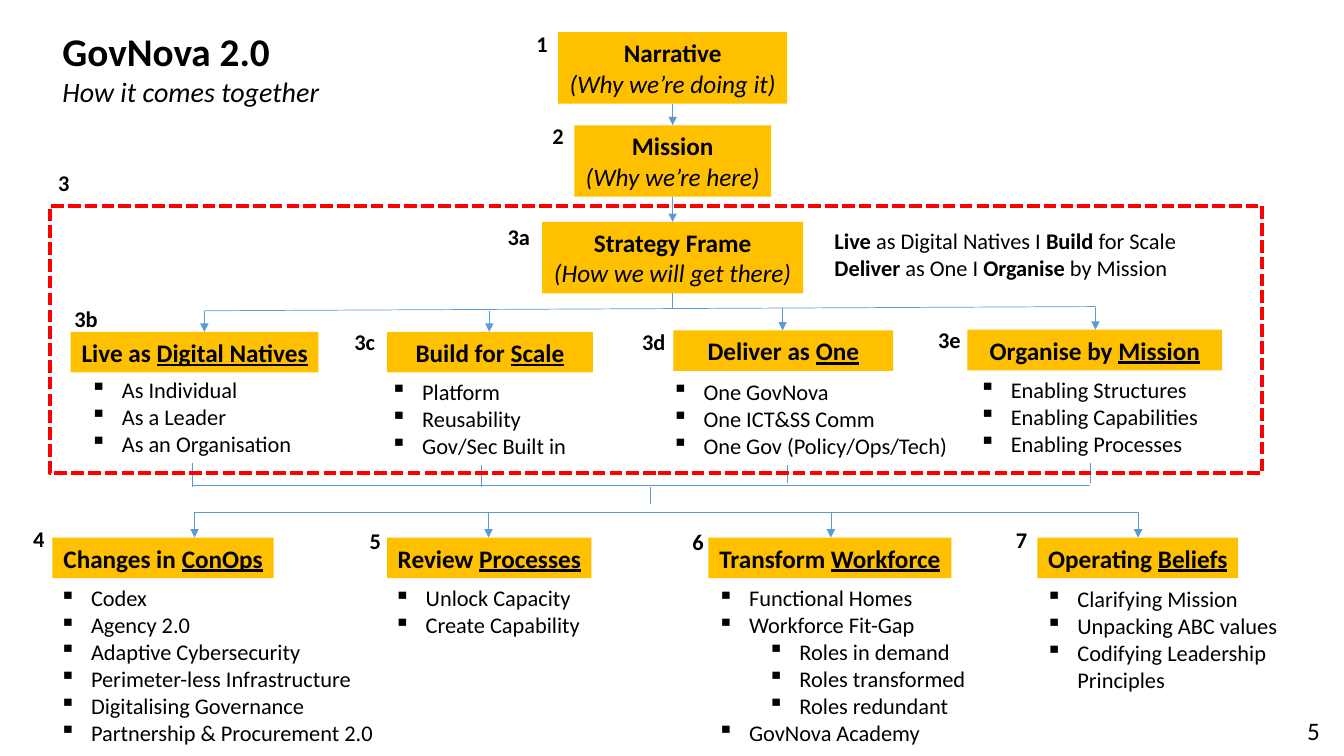
"""Build the strategy cascade slide, from narrative down to workstreams."""
from dataclasses import dataclass

from lxml import etree
from pptx import Presentation
from pptx import util as u
from pptx.dml.color import RGBColor
from pptx.enum import dml, shapes, text
from pptx.oxml.ns import qn


@dataclass(frozen=True)
class Theme:
    font: str = "Calibri"
    ink: str = "000000"
    gold: str = "FFC000"
    blue: str = "5B9BD5"
    red: str = "FF0000"
    title: int = 28
    subtitle: int = 20
    heading: int = 18
    body: int = 16
    hair: float = 0.5
    dash: float = 3
    indent: float = 22.5
    step: float = 36


THEME = Theme()
AXIS = 480.5
HEAD_HEIGHT = 29
STAGE_HEIGHT = 51
LINE_HEIGHT = 19.4

STAGES = [
    ("1", "Narrative", "(Why we’re doing it)", 23, 163.5, (376, 18)),
    ("2", "Mission", "(Why we’re here)", 89.5, 140.5, (387.5, 84)),
    ("3a", "Strategy Frame", "(How we will get there)", 158.5, 186.5, (355.5, 155.5)),
]
PILLARS = [
    ("3b", (46, 214.5), "Live as ", "Digital Natives", (50.5, 237, 177), (57.5, 265, 160),
     ["As Individual", "As a Leader", "As an Organisation"]),
    ("3c", (246, 231), "Build for ", "Scale", (276.5, 237, 147), (272, 266.5, 141),
     ["Platform", "Reusability", "Gov/Sec Built in"]),
    ("3d", (451.5, 230.5), "Deliver as ", "One", (481, 236, 157), (473, 266.5, 213),
     ["One GovNova", "One ICT&SS Comm", "One Gov (Policy/Ops/Tech)"]),
    ("3e", (663, 229.5), "Organise by ", "Mission", (691, 235.5, 182), (692.5, 265, 172),
     ["Enabling Structures", "Enabling Capabilities", "Enabling Processes"]),
]
WORKSTREAMS = [
    ("4", (16.5, 371.5), "Changes in ", "ConOps", (37.5, 384, 158), (35.5, 414, 241),
     ["Codex", "Agency 2.0", "Adaptive Cybersecurity", "Perimeter-less Infrastructure",
      "Digitalising Governance", "Partnership & Procurement 2.0"]),
    ("5", (257, 373), "Review ", "Processes", (276.5, 384, 146), (274.5, 414, 148.5),
     ["Unlock Capacity", "Create Capability"]),
    ("6", (487.5, 373.5), "Transform ", "Workforce", (506, 384, 173.5), (505.5, 414, 193.5),
     ["Functional Homes", "Workforce Fit-Gap",
      ["Roles in demand", "Roles transformed", "Roles redundant"], "GovNova Academy"]),
    ("7", (718.5, 372), "Operating ", "Beliefs", (741, 384, 143.5), (740, 414.5, 204.5),
     ["Clarifying Mission", "Unpacking ABC values", "Codifying Leadership Principles"]),
]
PILLAR_ARROWS = [(146, 222, 237), (349.5, 222, 237), (559, 220, 236), (782.5, 219.5, 235.5)]
STREAM_ARROWS = [(x, 366, 384) for x in (139, 349, 593.5, 813)]
STAGE_ARROWS = [(AXIS, 74, 89.5), (AXIS, 140.5, 158.5)]
STUBS = [(AXIS, 209, 220), (137.5, 330.5, 348), (343.5, 332, 348),
         (562.5, 332, 345), (778.5, 330.5, 345), (464.5, 348, 360)]
BARS = [(146, 222, 782.5, 219), (138, 346.5, 778.5, 346.5), (139, 366, 813, 366)]


def color(value):
    """Turn a hex string into a colour."""
    return RGBColor.from_string(value)


def points(*values):
    """Turn numbers into lengths in points."""
    return [u.Pt(value) for value in values]


def write(frame, lines, align=text.PP_ALIGN.LEFT):
    """Fill a frame with lines of (text, marks, size) spans."""
    for index, line in enumerate(lines):
        para = frame.paragraphs[0] if index == 0 else frame.add_paragraph()
        para.alignment = align
        for words, marks, size in line:
            span = para.add_run()
            span.text = words
            span.font.name = THEME.font
            span.font.size = u.Pt(size)
            span.font.color.rgb = color(THEME.ink)
            span.font.bold = "b" in marks
            span.font.italic = "i" in marks
            span.font.underline = "u" in marks


def add_text(page, place, lines, wrap=False):
    """Add a left-aligned text box."""
    box = page.shapes.add_textbox(*points(*place))
    box.text_frame.word_wrap = wrap
    box.text_frame.auto_size = text.MSO_AUTO_SIZE.SHAPE_TO_FIT_TEXT
    write(box.text_frame, lines)
    return box


def add_rectangle(page, place):
    """Add a rectangle without shadow, fill or line."""
    box = page.shapes.add_shape(shapes.MSO_SHAPE.RECTANGLE, *points(*place))
    box.shadow.inherit = False
    box.fill.background()
    box.line.fill.background()
    return box


def add_heading(page, place, lines):
    """Add a gold box with centred text."""
    box = add_rectangle(page, place)
    box.fill.solid()
    box.fill.fore_color.rgb = color(THEME.gold)
    box.text_frame.word_wrap = False
    write(box.text_frame, lines, text.PP_ALIGN.CENTER)


def add_number(page, place, label):
    """Add a bold step number."""
    width = 32.5 if len(label) > 1 else 23
    add_text(page, (*place, width, 26.5), [[(label, "b", THEME.body)]], wrap=True)


def add_list(page, place, items, wrap):
    """Add a bulleted list, with nested lists one level down."""
    entries = []
    for item in items:
        entries += [(item, 0)] if isinstance(item, str) else [(sub, 1) for sub in item]
    rows = len(entries) + wrap
    box = add_text(page, (*place, rows * LINE_HEIGHT + 7.2),
                   [[(words, "", THEME.body)] for words, _ in entries], wrap)
    for para, (_, level) in zip(box.text_frame.paragraphs, entries):
        para.level = level
        properties = para._p.get_or_add_pPr()
        properties.set("marL", str(u.Pt(THEME.indent + level * THEME.step)))
        properties.set("indent", str(-u.Pt(THEME.indent)))
        etree.SubElement(properties, qn("a:buChar")).set("char", "▪")


def add_line(page, ends, arrow=False):
    """Add a thin connector, with an arrowhead if asked."""
    line = page.shapes.add_connector(shapes.MSO_CONNECTOR.STRAIGHT, *points(*ends))
    line.line.color.rgb = color(THEME.blue)
    line.line.width = u.Pt(THEME.hair)
    if arrow:
        etree.SubElement(line.line._get_or_add_ln(), qn("a:tailEnd")).set("type", "triangle")
    etree.SubElement(line._element.spPr, qn("a:effectLst"))


def add_branch(page, number, spot, lead, key, head, body, items):
    """Add a numbered heading with its list."""
    add_heading(page, (*head, HEAD_HEIGHT),
                [[(lead, "b", THEME.heading), (key, "bu", THEME.heading)]])
    add_list(page, body, items, wrap=key == "Beliefs")
    add_number(page, spot, number)


def main():
    """Build and save the slide."""
    deck = Presentation()
    deck.slide_width, deck.slide_height = points(960, 540)
    page = deck.slides.add_slide(deck.slide_layouts[6])

    add_text(page, (37.5, 16, 199.5, 65.5),
             [[("GovNova 2.0", "b", THEME.title)],
              [("How it comes together", "i", THEME.subtitle)]])
    for number, name, question, top, width, spot in STAGES:
        add_heading(page, (AXIS - width / 2, top, width, STAGE_HEIGHT),
                    [[(name, "b", THEME.heading)], [(question, "i", THEME.heading)]])
        add_number(page, spot, number)
    motto = [[("Live ", "b"), ("as Digital Natives I ", ""), ("Build ", "b"), ("for Scale", "")],
             [("Deliver ", "b"), ("as One I ", ""), ("Organise ", "b"), ("by Mission", "")]]
    add_text(page, (589, 159, 263.5, 46),
             [[(*span, THEME.body) for span in line] for line in motto])

    for branch in PILLARS + WORKSTREAMS:
        add_branch(page, *branch)
    for x, top, bottom in STAGE_ARROWS + PILLAR_ARROWS + STREAM_ARROWS:
        add_line(page, (x, top, x, bottom), arrow=True)
    for x, top, bottom in STUBS:
        add_line(page, (x, top, x, bottom))
    for bar in BARS:
        add_line(page, bar)

    frame = add_rectangle(page, (35.5, 147, 866, 191))
    frame.line.color.rgb = color(THEME.red)
    frame.line.width = u.Pt(THEME.dash)
    frame.line.dash_style = dml.MSO_LINE.SQUARE_DOT
    add_number(page, (34.5, 117.5), "3")
    add_text(page, (926.5, 507.5, 24, 29), [[("5", "", THEME.heading)]])
    deck.save("out.pptx")


main()
